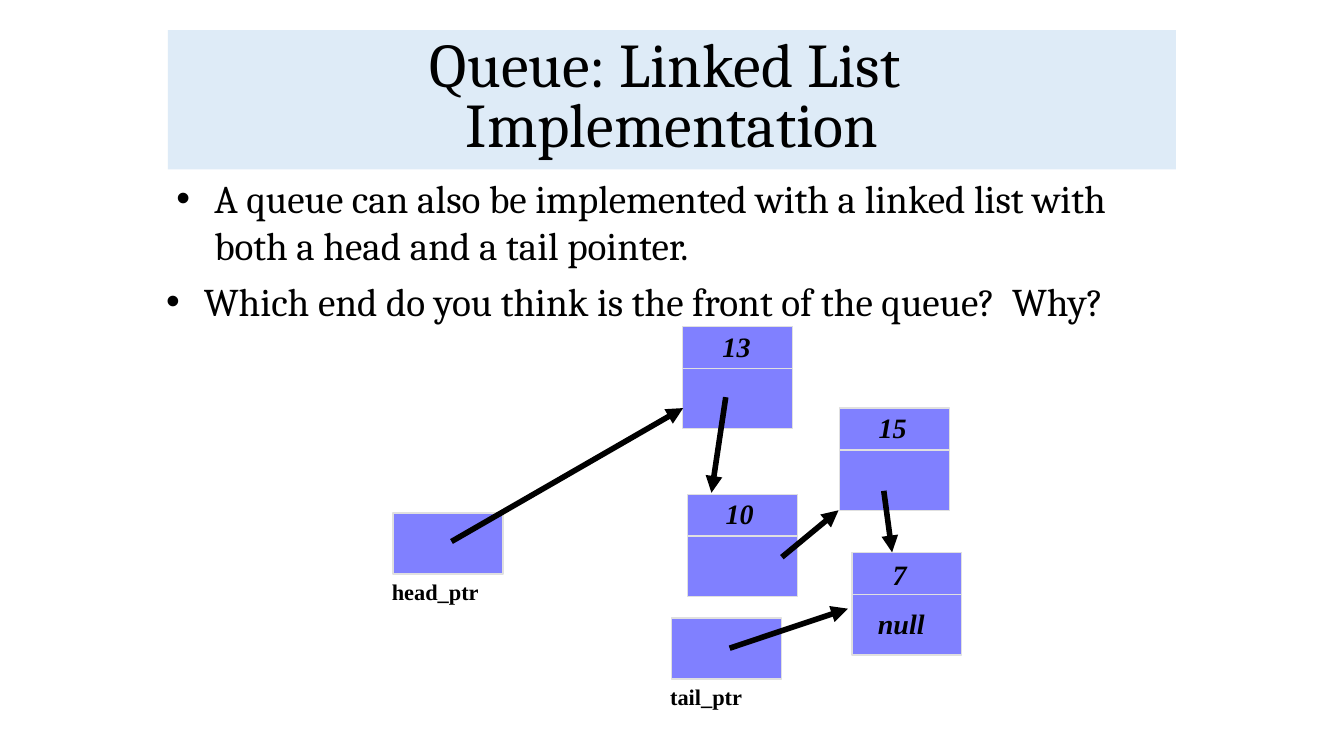
from dataclasses import dataclass

from lxml.etree import SubElement
from pptx import Presentation
from pptx.dml.color import RGBColor
from pptx.enum.shapes import MSO_CONNECTOR, MSO_SHAPE
from pptx.enum.text import MSO_ANCHOR, PP_ALIGN
from pptx.oxml.ns import qn
from pptx.util import Pt


@dataclass(frozen=True)
class Theme:
    ink: RGBColor = RGBColor(0x00, 0x00, 0x00)
    banner: RGBColor = RGBColor(0xDE, 0xEB, 0xF7)
    cell: RGBColor = RGBColor(0x80, 0x80, 0xFF)
    edge: RGBColor = RGBColor(0xE0, 0xE0, 0xE0)
    body_font: str = "Cambria"
    diagram_font: str = "Times New Roman"
    title_size: float = 44.4
    body_size: float = 28
    value_size: float = 20
    label_size: float = 16


class Deck:
    cell_width = 78.5
    node_height = 73
    value_height = 30
    pointer_height = 43.5

    def __init__(self, theme, width, height):
        self.theme = theme
        self.prs = Presentation()
        self.prs.slide_width, self.prs.slide_height = Pt(width), Pt(height)
        self.s = self.prs.slides.add_slide(self.prs.slide_layouts[6])

    def style_text(self, sp, text, font, size, spacing=None, bold=False, italic=False):
        tf = sp.text_frame
        tf.word_wrap = True
        tf.text = text
        for p in tf.paragraphs:
            p.line_spacing = spacing
            for r in p.runs:
                r.font.name, r.font.size = font, Pt(size)
                r.font.bold, r.font.italic = bold, italic
                r.font.color.rgb = self.theme.ink
        return tf

    def box(self, x, y, w, h, fill, edge=None):
        sp = self.s.shapes.add_shape(MSO_SHAPE.RECTANGLE, Pt(x), Pt(y), Pt(w), Pt(h))
        sp.shadow.inherit = False
        sp.fill.solid()
        sp.fill.fore_color.rgb = fill
        if edge is None:
            sp.line.fill.background()
        else:
            sp.line.color.rgb = edge
            sp.line.width = Pt(1)
        return sp

    def title(self, text, x, y, w, h):
        t = self.theme
        sp = self.box(x, y, w, h, t.banner)
        tf = self.style_text(sp, text, t.body_font, t.title_size, 0.8)
        tf.vertical_anchor = MSO_ANCHOR.MIDDLE
        for p in tf.paragraphs:
            p.alignment = PP_ALIGN.CENTER

    def bullet(self, text, x, y, w, h):
        t = self.theme
        sp = self.s.shapes.add_textbox(Pt(x), Pt(y), Pt(w), Pt(h))
        tf = self.style_text(sp, text, t.body_font, t.body_size)
        pPr = tf.paragraphs[0]._p.get_or_add_pPr()
        pPr.set("marL", str(Pt(27)))
        pPr.set("indent", str(-Pt(27)))
        SubElement(pPr, qn("a:buFont"), typeface="Arial")
        SubElement(pPr, qn("a:buChar"), char="•")

    def label(self, text, x, y, w, h, size, italic=False):
        sp = self.s.shapes.add_textbox(Pt(x), Pt(y), Pt(w), Pt(h))
        self.style_text(sp, text, self.theme.diagram_font, size, 0.93, True, italic)

    def value(self, text, x, y, w):
        self.label(text, x, y, w, 31, self.theme.value_size, True)

    def line(self, x1, y1, x2, y2, color, width):
        c = self.s.shapes.add_connector(
            MSO_CONNECTOR.STRAIGHT, Pt(x1), Pt(y1), Pt(x2), Pt(y2))
        c.line.color.rgb = color
        c.line.width = Pt(width)
        SubElement(c._element.spPr, qn("a:effectLst"))
        return c

    def arrow(self, x1, y1, x2, y2):
        c = self.line(x1, y1, x2, y2, self.theme.ink, 4)
        ln = c._element.spPr.find(qn("a:ln"))
        SubElement(ln, qn("a:tailEnd"), type="triangle")

    def node(self, text, x, y, dx, dy):
        t = self.theme
        self.box(x, y, self.cell_width, self.node_height, t.cell, t.edge)
        divider = y + self.value_height
        self.line(x, divider, x + self.cell_width, divider, t.edge, 1)
        self.value(text, x + dx, y + dy, 40)

    def pointer(self, text, x, y):
        t = self.theme
        self.box(x, y, self.cell_width, self.pointer_height, t.cell, t.edge)
        self.label(text, x - 8, y + 44.5, 80, 25, t.label_size)


def main():
    deck = Deck(Theme(), 960, 540)
    deck.bullet("A queue can also be implemented with a linked list with "
                "both a head and a tail pointer.", 119, 121, 736, 75)
    deck.title("Queue: Linked List \nImplementation", 120, 21.6, 720, 99.4)

    for node in (
        ("7", 608.5, 394.8, 22, 2),
        ("10", 491.2, 353, 20, 0),
        ("15", 599.8, 291.5, 20.8, 0),
        ("13", 487.7, 233, 21.3, 0.8),
    ):
        deck.node(*node)
    deck.value("null", 620, 432, 60)

    deck.pointer("head_ptr", 280.8, 366.5)
    deck.pointer("tail_ptr", 479.6, 441.5)

    for link in (
        (322.5, 386.8, 488, 291.5),
        (518.4, 283.7, 508.2, 352),
        (558.5, 398, 599, 364.5),
        (631.3, 350.6, 637.2, 394.5),
        (521.2, 463, 605.6, 434.8),
    ):
        deck.arrow(*link)

    deck.bullet("Which end do you think is the front of the queue?  Why?",
                111.6, 194.5, 736, 41)
    deck.prs.save("out.pptx")


if __name__ == "__main__":
    main()
